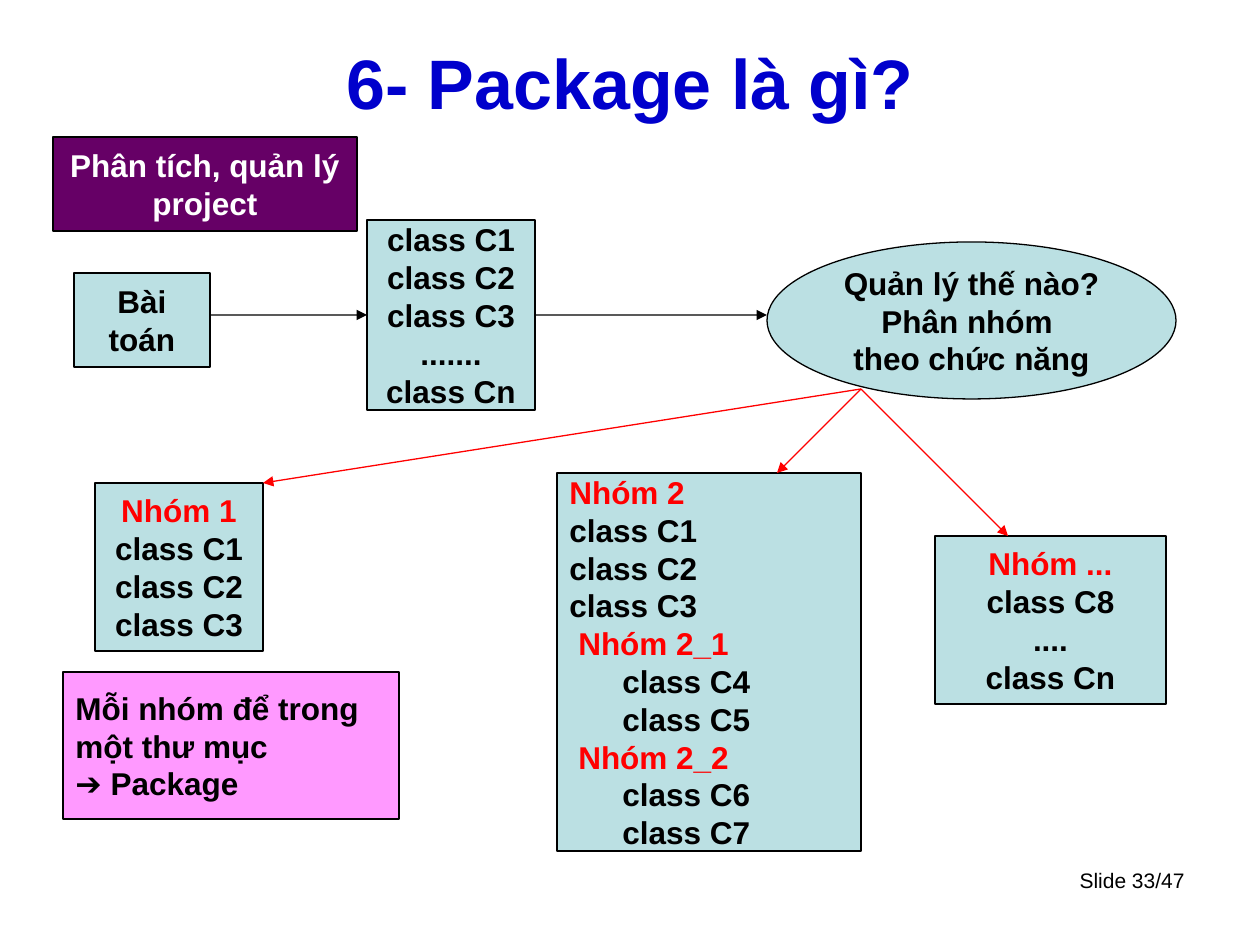
from dataclasses import dataclass
from typing import Optional

from lxml import etree
from pptx import Presentation, util as u
from pptx.dml.color import RGBColor
from pptx.enum import shapes, text
from pptx.oxml.ns import qn

PX_PER_INCH = 126
FONT = "Arial"
COLORS = {
    "black": "000000",
    "white": "FFFFFF",
    "red": "FF0000",
    "title": "0000CC",
    "teal": "BBE0E3",
    "pink": "FF99FF",
    "purple": "660066",
}
LEFT, CENTER, RIGHT = text.PP_ALIGN.LEFT, text.PP_ALIGN.CENTER, text.PP_ALIGN.RIGHT
TOP, MIDDLE = text.MSO_ANCHOR.TOP, text.MSO_ANCHOR.MIDDLE
RECTANGLE, OVAL = shapes.MSO_SHAPE.RECTANGLE, shapes.MSO_SHAPE.OVAL
LEFT_SIDE, RIGHT_SIDE = 1, 3


@dataclass
class Line:
    words: str
    color: str = "black"
    indent: int = 0


@dataclass
class Box:
    left: int
    top: int
    width: int
    height: int
    lines: list[Line]
    fill: str = "teal"
    align: text.PP_ALIGN = CENTER
    kind: shapes.MSO_SHAPE = RECTANGLE


@dataclass
class Label:
    left: int
    top: int
    width: int
    height: int
    line: Line
    size: int
    bold: bool
    align: text.PP_ALIGN
    anchor: text.MSO_ANCHOR


@dataclass
class Arrow:
    start: tuple[int, int]
    end: tuple[int, int]
    color: str = "black"
    start_box: Optional[str] = None
    end_box: Optional[str] = None


def px(length: int) -> u.Emu:
    return u.Emu(round(length * 914400 / PX_PER_INCH))


def rgb(color: str) -> RGBColor:
    return RGBColor.from_string(COLORS[color])


def plain(*words: str, color: str = "black", indent: int = 0) -> list[Line]:
    return [Line(item, color, indent) for item in words]


def group(heading: str, *members: str, heading_indent: int = 0, indent: int = 0) -> list[Line]:
    """A red heading followed by its members in black."""
    return [Line(heading, "red", heading_indent), *plain(*members, indent=indent)]


def write_lines(frame, lines: list[Line], size: int, bold: bool, align, anchor) -> None:
    frame.word_wrap = True
    frame.vertical_anchor = anchor
    for index, line in enumerate(lines):
        paragraph = frame.add_paragraph() if index else frame.paragraphs[0]
        paragraph.text = line.words
        paragraph.alignment = align
        paragraph.font.name = FONT
        paragraph.font.size = u.Pt(size)
        paragraph.font.bold = bold
        paragraph.font.color.rgb = rgb(line.color)
        if line.indent:
            paragraph._p.get_or_add_pPr().set("marL", str(px(line.indent)))


def draw_label(slide, label: Label) -> None:
    shape = slide.shapes.add_textbox(
        px(label.left), px(label.top), px(label.width), px(label.height))
    write_lines(shape.text_frame, [label.line], label.size, label.bold, label.align, label.anchor)


def draw_box(slide, box: Box):
    shape = slide.shapes.add_shape(
        box.kind, px(box.left), px(box.top), px(box.width), px(box.height))
    shape.shadow.inherit = False
    shape.fill.solid()
    shape.fill.fore_color.rgb = rgb(box.fill)
    shape.line.color.rgb = rgb("black")
    shape.line.width = u.Pt(0.75)
    write_lines(shape.text_frame, box.lines, 18, True, box.align, MIDDLE)
    return shape


def draw_arrow(slide, arrow: Arrow, drawn: dict) -> None:
    connector = slide.shapes.add_connector(
        shapes.MSO_CONNECTOR.STRAIGHT, *map(px, arrow.start + arrow.end))
    if arrow.start_box:
        connector.begin_connect(drawn[arrow.start_box], RIGHT_SIDE)
    if arrow.end_box:
        connector.end_connect(drawn[arrow.end_box], LEFT_SIDE)
    connector.line.color.rgb = rgb(arrow.color)
    connector.line.width = u.Pt(0.75)
    etree.SubElement(connector.line._get_or_add_ln(), qn("a:tailEnd"), type="triangle")
    etree.SubElement(connector._element.spPr, qn("a:effectLst"))


LABELS = [
    Label(903, 861, 294, 66, Line("Slide 33/47"), 12, False, RIGHT, TOP),
    Label(63, 38, 1134, 88, Line("6- Package là gì?", "title"), 40, True, CENTER, MIDDLE),
]

SUBGROUP = {"heading_indent": 9, "indent": 53}
BOXES = {
    "problem": Box(74, 273, 136, 94, plain("Bài", "toán")),
    "classes": Box(367, 220, 168, 190,
                   plain("class C1", "class C2", "class C3", ".......", "class Cn")),
    "question": Box(767, 242, 409, 157,
                    plain("Quản lý thế nào?", "Phân nhóm ", "theo chức năng"), kind=OVAL),
    "group 1": Box(95, 483, 168, 168, group("Nhóm 1", "class C1", "class C2", "class C3")),
    "group 2": Box(557, 473, 304, 378,
                   group("Nhóm 2", "class C1", "class C2", "class C3")
                   + group("Nhóm 2_1", "class C4", "class C5", **SUBGROUP)
                   + group("Nhóm 2_2", "class C6", "class C7", **SUBGROUP), align=LEFT),
    "other groups": Box(935, 536, 231, 168, group("Nhóm ...", "class C8", "....", "class Cn")),
    "conclusion": Box(63, 672, 336, 147,
                      plain("Mỗi nhóm để trong", "một thư mục", "➔ Package"), "pink", LEFT),
    "topic": Box(53, 137, 304, 94,
                 plain("Phân tích, quản lý", "project", color="white"), "purple"),
}

FORK = (861, 389)
ARROWS = [
    Arrow((210, 315), (367, 315), end_box="classes"),
    Arrow((535, 315), (767, 315), start_box="classes"),
    *(Arrow(FORK, end, "red") for end in [(263, 483), (777, 473), (1008, 536)]),
]


def main() -> None:
    presentation = Presentation()
    presentation.slide_width, presentation.slide_height = px(1260), px(945)
    slide = presentation.slides.add_slide(presentation.slide_layouts[6])
    for label in LABELS:
        draw_label(slide, label)
    drawn = {name: draw_box(slide, box) for name, box in BOXES.items()}
    for arrow in ARROWS:
        draw_arrow(slide, arrow, drawn)
    presentation.save("out.pptx")


if __name__ == "__main__":
    main()
